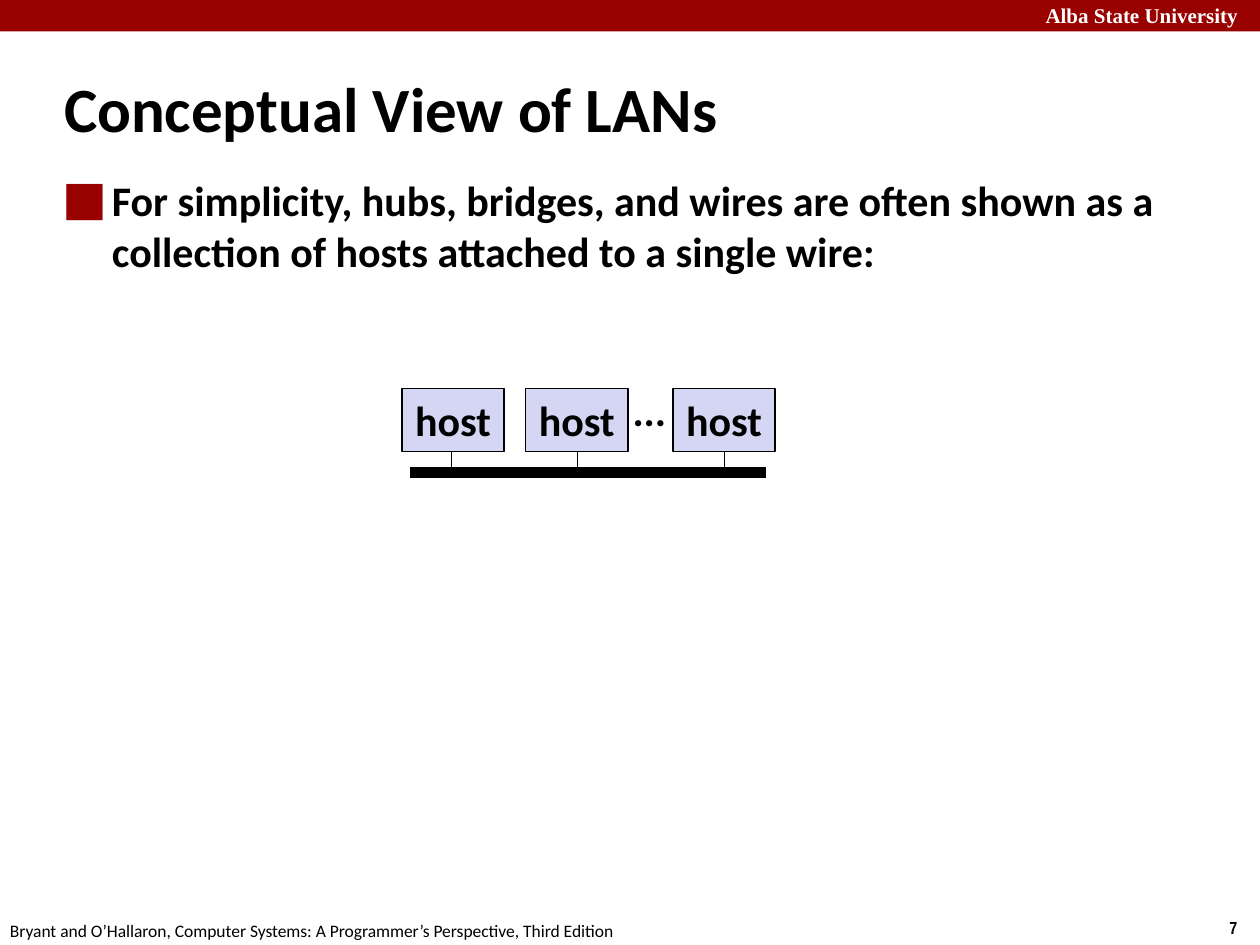
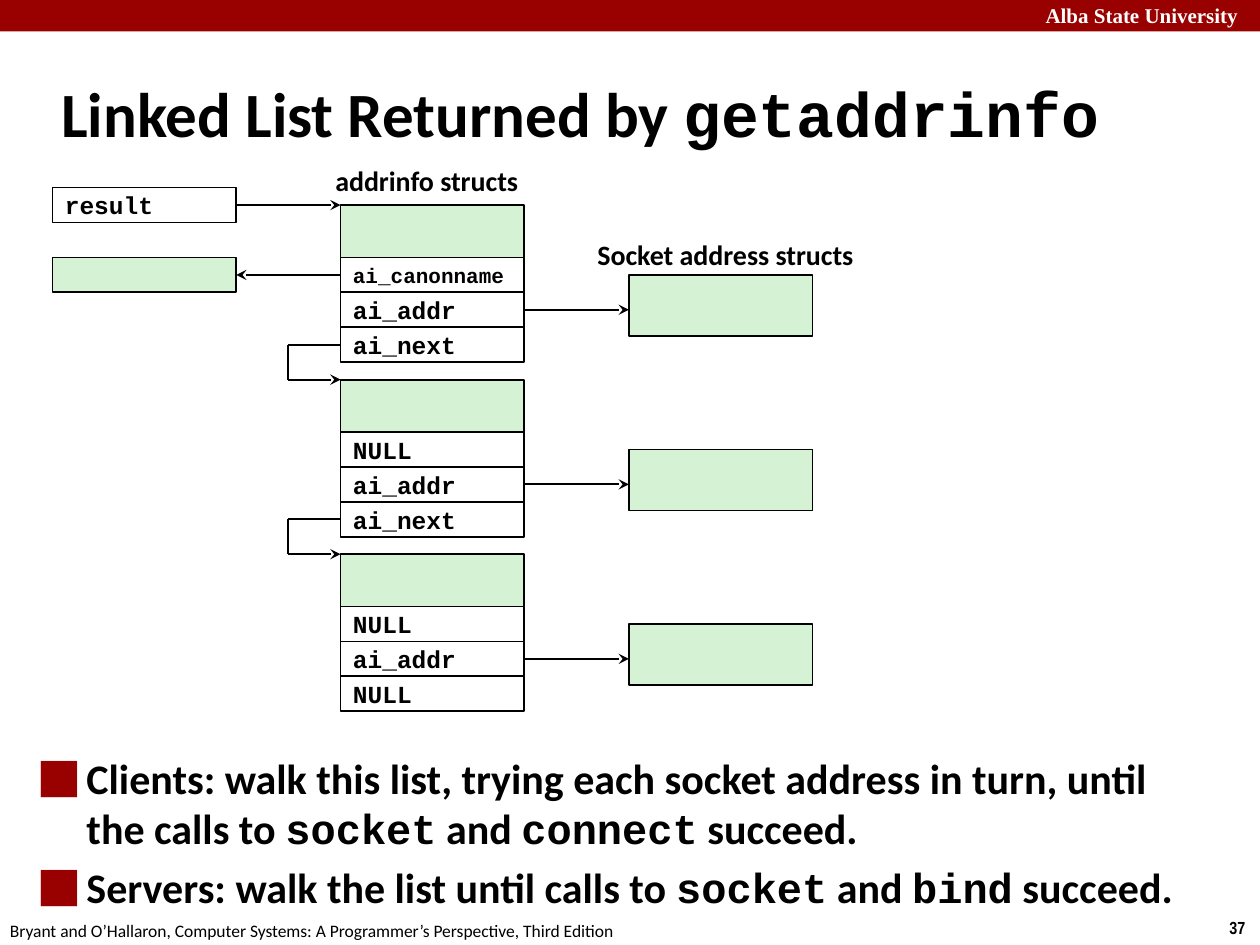
import pptx
import pptx.util
import pptx.dml.color
import pptx.enum.shapes
import pptx.enum.text
import pptx.oxml
import pptx.oxml.ns
import lxml.etree

Pt = pptx.util.Pt
rgb = pptx.dml.color.RGBColor.from_string
qn = pptx.oxml.ns.qn
ANCHOR = pptx.enum.text.MSO_ANCHOR
ALIGN = pptx.enum.text.PP_ALIGN

RED, BLACK, WHITE = "990000", "000000", "FFFFFF"
LILAC, GREEN = "D5D5F4", "D5F2D5"
SANS, MONO = "Calibri", "Courier New"
TITLE = {"size": 36, "anchor": ANCHOR.MIDDLE, "indent": 9.36}
BODY = {"size": 24, "indent": 27.36, "bullet": True}
HOST = {"size": 24, "anchor": ANCHOR.MIDDLE, "align": ALIGN.CENTER, "wrap": False}
FIELD = {"size": 14, "font": MONO, "anchor": ANCHOR.MIDDLE, "fill": WHITE, "line": BLACK}
STRUCT = {"fill": GREEN, "line": BLACK}


def add_box(s, x, y, w, h, *paras, size=14, font=SANS, color=BLACK, bold=True, fill=None,
            line=None, anchor=ANCHOR.TOP, align=None, wrap=True, indent=0, bullet=False):
    """Add a box; text between backquotes is set in the code font."""
    if fill:
        sp = s.shapes.add_shape(pptx.enum.shapes.MSO_SHAPE.RECTANGLE, Pt(x), Pt(y), Pt(w), Pt(h))
        sp.shadow.inherit = False
        sp.fill.solid()
        sp.fill.fore_color.rgb = rgb(fill)
        if line:
            sp.line.color.rgb = rgb(line)
            sp.line.width = Pt(1)
        else:
            sp.line.fill.background()
    else:
        sp = s.shapes.add_textbox(Pt(x), Pt(y), Pt(w), Pt(h))
    tf = sp.text_frame
    tf.word_wrap = wrap
    tf.vertical_anchor = anchor
    for i, text in enumerate(paras):
        p = tf.add_paragraph() if i else tf.paragraphs[0]
        p.alignment = align or ALIGN.LEFT
        if i:
            p.space_before = Pt(4.8)
        pPr = p._p.get_or_add_pPr()
        if indent:
            pPr.set("marL", str(Pt(indent)))
            pPr.set("indent", str(-Pt(indent)))
        if bullet:
            # A named text font lets the square fall back to a font that has it
            buClr = lxml.etree.SubElement(pPr, qn("a:buClr"))
            lxml.etree.SubElement(buClr, qn("a:srgbClr"), val=RED)
            lxml.etree.SubElement(pPr, qn("a:buFont"), typeface=font)
            lxml.etree.SubElement(pPr, qn("a:buChar"), char="⬛")
        for j, part in enumerate(text.split("`")):
            if part:
                r = p.add_run()
                r.text = part
                fmt = {"name": MONO if j % 2 else font, "size": Pt(size), "bold": bold}
                for name, value in fmt.items():
                    setattr(r.font, name, value)
                r.font.color.rgb = rgb(color)


def add_line(s, x1, y1, x2, y2, width=1, arrow=False):
    cx = s.shapes.add_connector(pptx.enum.shapes.MSO_CONNECTOR.STRAIGHT,
                                Pt(x1), Pt(y1), Pt(x2), Pt(y2))
    cx.line.color.rgb = rgb(BLACK)
    cx.line.width = Pt(width)
    if arrow:
        lxml.etree.SubElement(cx.line._get_or_add_ln(), qn("a:tailEnd"), type="stealth")
    lxml.etree.SubElement(cx._element.spPr, qn("a:effectLst"))


prs = pptx.Presentation()
prs.slide_width, prs.slide_height = Pt(720), Pt(540)

# Shared band, page number and footer
slides = []
for number in ("7", "37"):
    s = prs.slides.add_slide(prs.slide_layouts[6])
    add_box(s, 0, 0, 720, 18, fill=RED)
    add_box(s, 590.4, -2, 134.6, 21.6, "Alba State University",
            size=12, font="Times New Roman", color=WHITE)
    add_box(s, 695.5, 520.5, 24.5, 19.4, number, size=10, font="Arial Narrow")
    add_box(s, -1.4, 522, 366, 19.4,
            "Bryant and O’Hallaron, Computer Systems: A Programmer’s Perspective, Third Edition",
            size=10, bold=False)
    slides.append(s)

# Conceptual view of LANs
s = slides[0]
add_box(s, 29.5, 38.9, 553, 45.4, "Conceptual View of LANs", **TITLE)
add_box(s, 29.5, 96.3, 654.5, 24,
        "For simplicity, hubs, bridges, and wires are often shown as a collection of hosts "
        "attached to a single wire:", **BODY)

# Hosts on one wire
wire_y = 270
add_line(s, 234, wire_y, 438, wire_y, width=6)
for host_x, drop_x in ((229.7, 258), (300.4, 330), (384.5, 414)):
    add_line(s, drop_x, 246, drop_x, wire_y)
    add_box(s, host_x, 222, 58.5, 36, "host", fill=LILAC, line=BLACK, **HOST)
add_box(s, 354.2, 216, 33.8, 36, "...", **HOST)

# Linked list returned by getaddrinfo
s = slides[1]
add_box(s, 28, 34.3, 650, 59.8, "Linked List Returned by `getaddrinfo`", **TITLE)
add_box(s, 184.5, 90, 121, 26.6, "addrinfo structs", size=16)
add_box(s, 334.3, 132.5, 163.5, 26.6, "Socket address structs", size=16)

row, box_w = 19.95, 105
left_x, list_x, addr_x, bend_x = 30, 194.6, 359.4, 164.7
list_top = 117.2
records = (("ai_canonname", "ai_addr", "ai_next"),
           ("NULL", "ai_addr", "ai_next"),
           ("NULL", "ai_addr", "NULL"))

# Result pointer and canonical name
add_box(s, left_x, list_top - row / 2, box_w, row, "result", **FIELD)
add_line(s, left_x + box_w, list_top, list_x, list_top, arrow=True)
add_box(s, left_x, list_top + 1.5 * row, box_w, row, **STRUCT)
add_line(s, list_x, list_top + 2 * row, left_x + box_w, list_top + 2 * row, arrow=True)

# Each record: header, three fields, socket address, link to the next record
for i, fields in enumerate(records):
    top = list_top + 5 * row * i
    add_box(s, list_x, top, box_w, 1.5 * row, **STRUCT)
    for j, field in enumerate(fields):
        style = {**FIELD, "size": 12 if field == "ai_canonname" else 14}
        add_box(s, list_x, top + (1.5 + j) * row, box_w, row, field, **style)
    add_box(s, addr_x, top + 2 * row, box_w, 1.75 * row, **STRUCT)
    add_line(s, list_x + box_w, top + 3 * row, addr_x, top + 3 * row, arrow=True)
    if fields[-1] == "ai_next":
        link_y, next_y = top + 4 * row, top + 5 * row
        add_line(s, list_x, link_y, bend_x, link_y)
        add_line(s, bend_x, link_y, bend_x, next_y)
        add_line(s, bend_x, next_y, list_x, next_y, arrow=True)

# How clients and servers use the list
add_box(s, 15, 426.2, 664.5, 116.6,
        "Clients: walk this list, trying each socket address in turn, until the calls to "
        "`socket` and `connect` succeed.",
        "Servers: walk the list until calls to `socket` and `bind` succeed.", **BODY)

prs.save("out.pptx")
